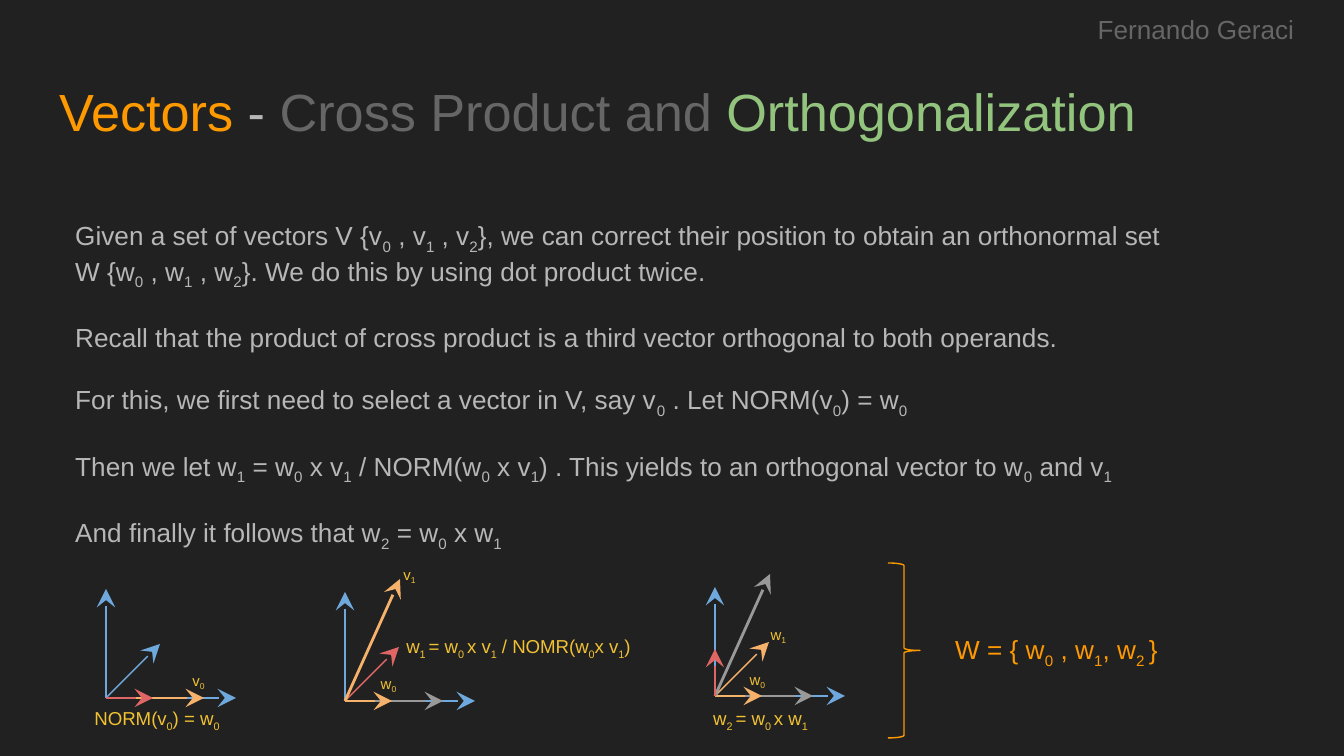
from collections import namedtuple

from lxml import etree
from pptx import Presentation
from pptx import util as u
from pptx.dml.color import RGBColor
from pptx.enum import shapes, text
from pptx.oxml.ns import qn

Theme = namedtuple("Theme", "font bg orange light dim green yellow blue peach red grey "
                   "title body caption label thin thick")
T = Theme("Arial", "212121", "FF9900", "B7B7B7", "666666", "93C47D", "F1C232",
          "6FA8DC", "F6B26B", "E06666", "999999", 28, 14, 10, 8, 0.75, 1.5)
PX = 914400 / 134.4
LEFT, CENTER, JUSTIFY = (text.PP_ALIGN.LEFT, text.PP_ALIGN.CENTER, text.PP_ALIGN.JUSTIFY)
TOP, MIDDLE = text.MSO_ANCHOR.TOP, text.MSO_ANCHOR.MIDDLE

TITLE = [("Vectors ", T.orange), ("- ", T.light), ("Cross Product and ", T.dim),
         ("Orthogonalization", T.green)]
BODY = [
    ["Given a set of vectors V {v|0| , v|1| , v|2|}, we can correct their position "
     "to obtain an orthonormal set",
     "W {w|0| , w|1| , w|2|}. We do this by using dot product twice."],
    ["Recall that the product of cross product is a third vector orthogonal to both operands."],
    ["For this, we first need to select a vector in V, say v|0| . Let NORM(v|0|) = w|0"],
    ["Then we let w|1| = w|0| x v|1| / NORM(w|0| x v|1|) . This yields to an "
     "orthogonal vector to w|0| and v|1"],
    ["And finally it follows that w|2| = w|0| x w|1"],
]
RESULT = "W = { w|0| , w|1|, w|2 |}"
AUTHOR = "Fernando Geraci"

AXES = [((0, -109), T.blue, T.thin), ((130, 0), T.blue, T.thin)]
DIAGONAL, LONG, SHORT, STEEP, UP = (54, -54), (98, 0), (47, 0), (55, -122), (0, -47)
DIAGRAMS = [
    ((106, 698), [(DIAGONAL, T.blue, T.thin), (LONG, T.peach, T.thick),
                  (SHORT, T.red, T.thick)]),
    ((345, 701), [(DIAGONAL, T.red, T.thin), (LONG, T.grey, T.thick),
                  (SHORT, T.peach, T.thick), (STEEP, T.peach, T.thick)]),
    ((715, 696), [(DIAGONAL, T.peach, T.thin), (LONG, T.grey, T.thick),
                  (SHORT, T.peach, T.thick), (STEEP, T.grey, T.thick),
                  (UP, T.red, T.thick)]),
]
CAPTIONS = [
    ("NORM(v|0|) = w|0", (69, 700, 176, 39)),
    ("w|1 |= w|0 |x v|1| / NOMR(w|0|x v|1|)", (374, 628, 289, 39)),
    ("w|2 |= w|0 |x w|1", (692, 700, 137, 39)),
]
LABEL_SIZE = (59, 43)
LABELS = [("v|0", (169, 660)), ("w|0", (359, 663)), ("v|1", (380, 554)),
          ("w|0", (728, 659)), ("w|1", (749, 614))]


def px(*values):
    return [u.Emu(round(v * PX)) for v in values]


def rgb(color):
    return RGBColor.from_string(color)


def add_text(s, box, paragraphs, size, color, align=LEFT, anchor=TOP):
    tf = s.shapes.add_textbox(*px(*box)).text_frame
    tf.word_wrap = True
    tf.vertical_anchor = anchor
    tf.margin_left = tf.margin_right = tf.margin_top = tf.margin_bottom = u.Inches(0.1)
    for i, (line, gap) in enumerate(paragraphs):
        p = tf.paragraphs[0] if i == 0 else tf.add_paragraph()
        p.alignment = align
        p.space_before = u.Pt(gap)
        p.font.name, p.font.size = T.font, u.Pt(size)
        p.font.color.rgb = rgb(color)
        for j, part in enumerate(line.split("|")):
            r = p.add_run()
            r.text = part
            r.font.name, r.font.size = T.font, u.Pt(size)
            r.font.color.rgb = rgb(color)
            if j % 2:
                r.font._element.set("baseline", "-25000")
    return tf


def add_title(s, box):
    tf = add_text(s, box, [(TITLE[0][0], 0)], T.title, TITLE[0][1])
    p = tf.paragraphs[0]
    for words, color in TITLE[1:]:
        r = p.add_run()
        r.text = words
        r.font.name, r.font.size = T.font, u.Pt(T.title)
        r.font.color.rgb = rgb(color)


def add_vector(s, origin, offset, color, width):
    (x, y), (dx, dy) = origin, offset
    c = s.shapes.add_connector(shapes.MSO_CONNECTOR.STRAIGHT, *px(x, y, x + dx, y + dy))
    c.line.color.rgb = rgb(color)
    c.line.width = u.Pt(width)
    etree.SubElement(c.line._get_or_add_ln(), qn("a:tailEnd"),
                     type="stealth", w="lg", len="lg")
    etree.SubElement(c._element.spPr, qn("a:effectLst"))


def add_brace(s, box):
    sp = s.shapes.add_shape(shapes.MSO_SHAPE.RIGHT_BRACE, *px(*box))
    sp.adjustments[0], sp.adjustments[1] = 0.08, 0.5
    sp.shadow.inherit = False
    sp.fill.background()
    sp.line.color.rgb = rgb(T.orange)
    sp.line.width = u.Pt(T.thin)


def main():
    prs = Presentation()
    prs.slide_width, prs.slide_height = px(1344, 756)
    s = prs.slides.add_slide(prs.slide_layouts[6])
    s.background.fill.solid()
    s.background.fill.fore_color.rgb = rgb(T.bg)

    add_title(s, (46, 66, 1253, 85))
    body = [(line, 16.5 if g and i == 0 else 0)
            for g, group in enumerate(BODY) for i, line in enumerate(group)]
    add_text(s, (62, 206, 1192, 343), body, T.body, T.light, JUSTIFY)
    for origin, vectors in DIAGRAMS:
        for vector in AXES + vectors:
            add_vector(s, origin, *vector)
    for words, box in CAPTIONS:
        add_text(s, box, [(words, 0)], T.caption, T.yellow, CENTER, MIDDLE)
    for words, corner in LABELS:
        add_text(s, corner + LABEL_SIZE, [(words, 0)], T.label, T.yellow, CENTER, MIDDLE)
    add_brace(s, (888, 563, 32, 175))
    add_text(s, (942, 620, 304, 63), [(RESULT, 0)], T.body, T.orange)
    add_text(s, (1048, 0, 296, 62), [(AUTHOR, 0)], T.body, T.dim, CENTER)
    prs.save("out.pptx")


if __name__ == "__main__":
    main()
